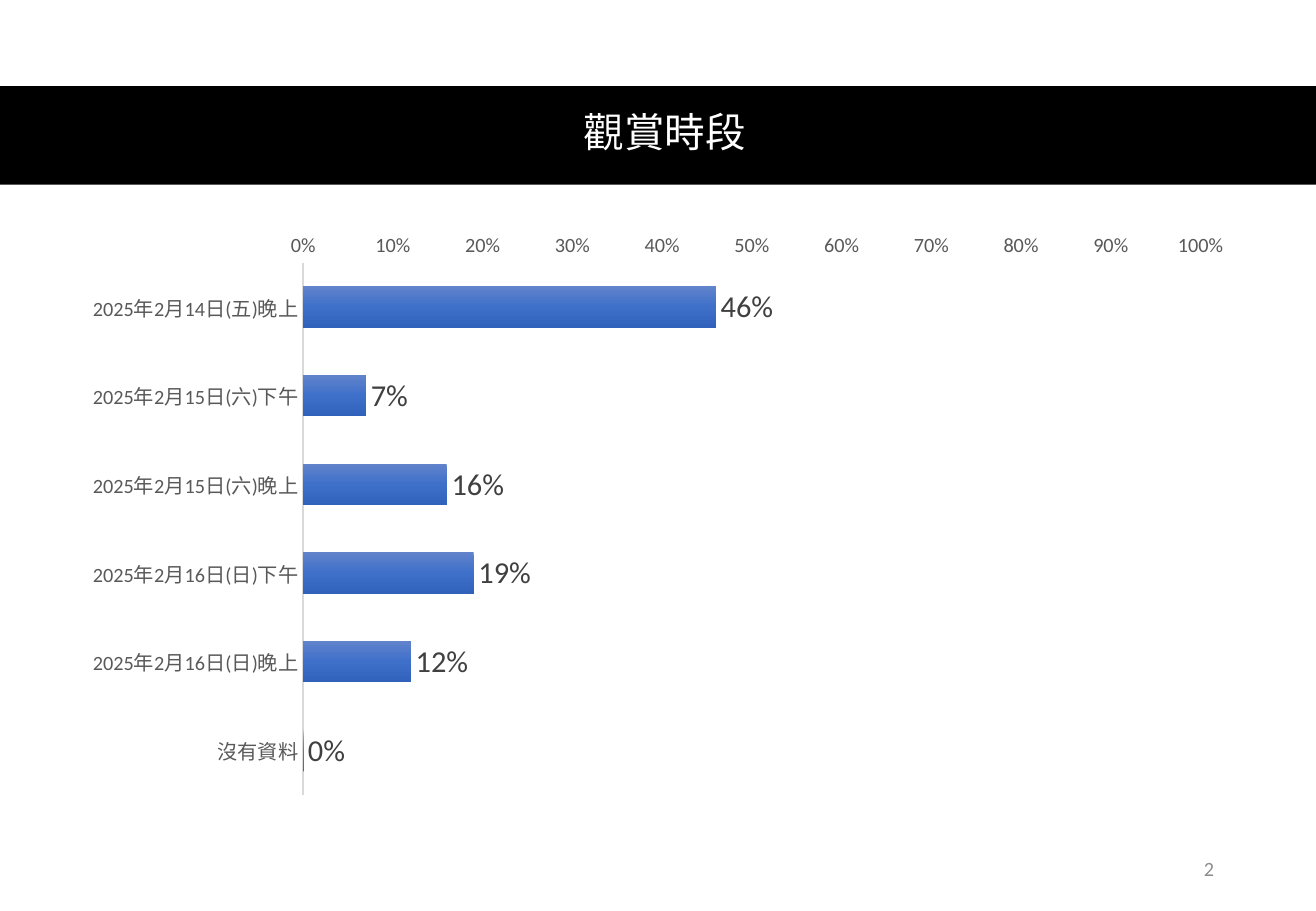
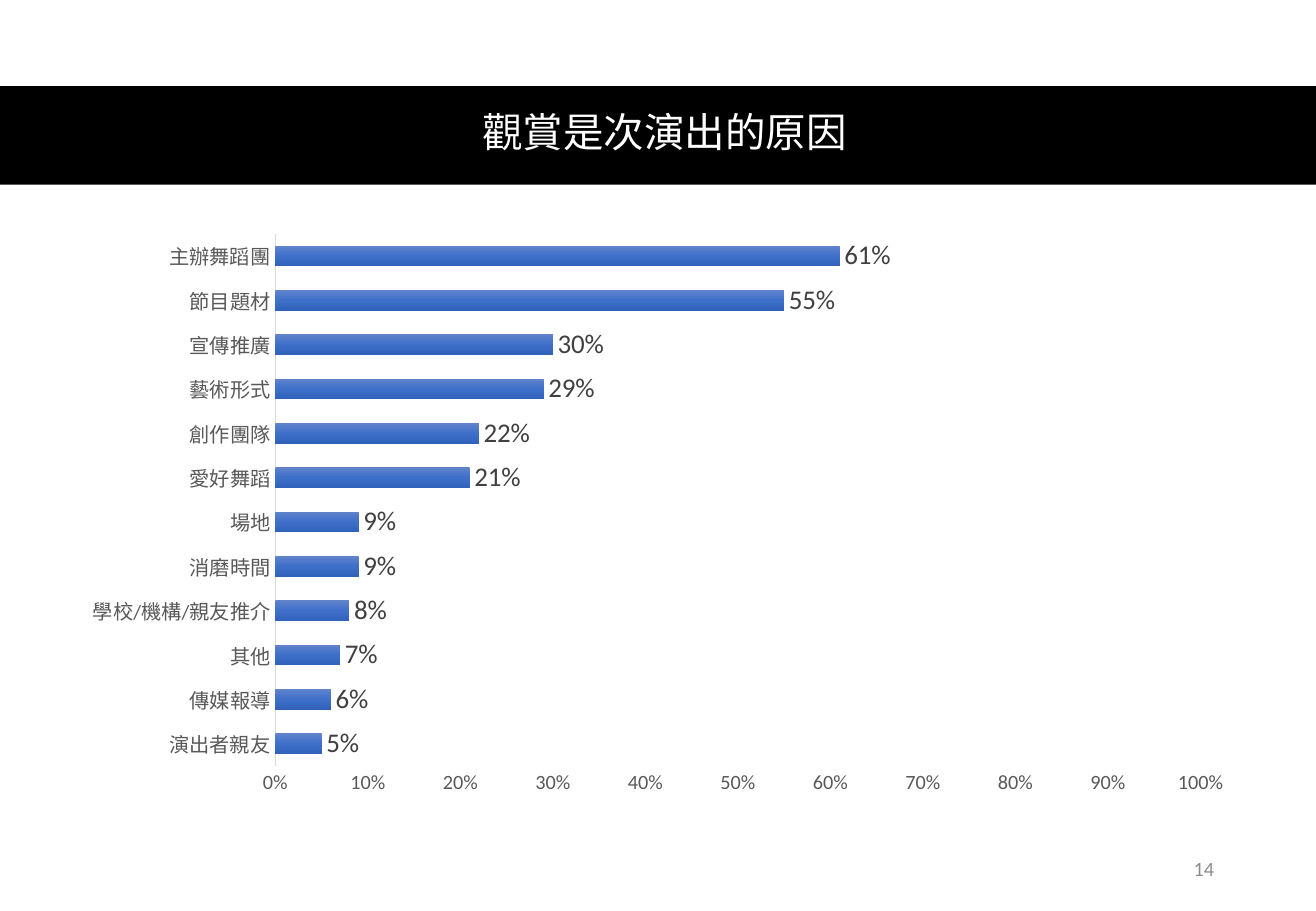
"""Build two audience-survey slides, each a titled band above a bar chart."""
from dataclasses import dataclass

from lxml import etree
from pptx import Presentation
from pptx import util as u
from pptx.chart.data import CategoryChartData
from pptx.dml.color import RGBColor
from pptx.enum import chart as ch, shapes, text
from pptx.oxml.ns import qn


@dataclass(frozen=True)
class Theme:
    band: str = "000000"
    title: str = "FFFFFF"
    axis_text: str = "595959"
    axis_line: str = "D9D9D9"
    value_text: str = "404040"
    page: str = "8C8C8C"
    bar_stops: tuple = ((0, "6183CB"), (50, "3E70CA"), (100, "3062BB"))
    title_font: str = "Lato"
    body_font: str = "Calibri"
    title_size: int = 24
    small_size: int = 12


THEME = Theme()
WIDTH, HEIGHT = 10.83, 7.5
BAND_BOX = (0, 0.71, WIDTH, 0.81)
TITLE_BOX = (0.49, 0.7, 9.96, 0.81)
CHART_BOX = (0.57, 1.83, 9.69, 4.81)
PAGE_BOX = (7.65, 6.95, 2.44, 0.4)

SURVEYS = [
    dict(title="觀賞時段", page="2", value_size=18, reverse=True, shares=[
        ("2025年2月14日(五)晚上", 0.46),
        ("2025年2月15日(六)下午", 0.07),
        ("2025年2月15日(六)晚上", 0.16),
        ("2025年2月16日(日)下午", 0.19),
        ("2025年2月16日(日)晚上", 0.12),
        ("沒有資料", 0),
    ]),
    dict(title="觀賞是次演出的原因", page="14", value_size=16, reverse=False, shares=[
        ("演出者親友", 0.05),
        ("傳媒報導", 0.06),
        ("其他", 0.07),
        ("學校/機構/親友推介", 0.08),
        ("消磨時間", 0.09),
        ("場地", 0.09),
        ("愛好舞蹈", 0.21),
        ("創作團隊", 0.22),
        ("藝術形式", 0.29),
        ("宣傳推廣", 0.3),
        ("節目題材", 0.55),
        ("主辦舞蹈團", 0.61),
    ]),
]


def inches(box):
    return [u.Inches(length) for length in box]


def style(font, name, size, color):
    font.name = name
    font.size = u.Pt(size)
    font.color.rgb = RGBColor.from_string(color)


def write(shape, words, align, name, size, color):
    frame = shape.text_frame
    frame.word_wrap = True
    frame.vertical_anchor = text.MSO_ANCHOR.MIDDLE
    frame.text = words
    paragraph = frame.paragraphs[0]
    paragraph.alignment = align
    style(paragraph.runs[0].font, name, size, color)
    return paragraph


def add_heading(slide, words):
    band = slide.shapes.add_shape(shapes.MSO_SHAPE.RECTANGLE, *inches(BAND_BOX))
    band.shadow.inherit = False
    band.fill.solid()
    band.fill.fore_color.rgb = RGBColor.from_string(THEME.band)
    band.line.fill.background()
    title = slide.shapes.title
    title.left, title.top, title.width, title.height = inches(TITLE_BOX)
    title._element.addprevious(band._element)
    heading = write(title, words, text.PP_ALIGN.CENTER,
                    THEME.title_font, THEME.title_size, THEME.title)
    heading.line_spacing = 0.9


def shade_bars(bars):
    bars.format.fill.gradient()
    gradient = bars.format.fill._xPr.find(qn("a:gradFill"))
    for part in list(gradient):
        gradient.remove(part)
    stops = etree.SubElement(gradient, qn("a:gsLst"))
    for percent, color in THEME.bar_stops:
        stop = etree.SubElement(stops, qn("a:gs"), pos=str(percent * 1000))
        etree.SubElement(stop, qn("a:srgbClr"), val=color)
    etree.SubElement(gradient, qn("a:lin"), ang="5400000", scaled="0")


def add_share_chart(slide, shares, value_size, reverse):
    data = CategoryChartData(number_format="0%")
    data.categories = [answer for answer, _ in shares]
    data.add_series("Series 1", [share for _, share in shares])
    chart = slide.shapes.add_chart(
        ch.XL_CHART_TYPE.BAR_CLUSTERED, *inches(CHART_BOX), data).chart
    chart.has_title = chart.has_legend = False
    style(chart.font, THEME.body_font, 10, "000000")

    answers, scale = chart.category_axis, chart.value_axis
    for axis in (answers, scale):
        axis.has_major_gridlines = False
        axis.major_tick_mark = axis.minor_tick_mark = ch.XL_TICK_MARK.NONE
        style(axis.tick_labels.font, THEME.body_font, THEME.small_size, THEME.axis_text)
    answers.reverse_order = reverse
    answers.format.line.color.rgb = RGBColor.from_string(THEME.axis_line)
    answers.format.line.width = u.Pt(1)
    scale.minimum_scale, scale.maximum_scale, scale.major_unit = 0, 1, 0.1
    scale.tick_labels.number_format = "0%"
    scale.tick_labels.number_format_is_linked = False
    scale.format.line.fill.background()

    plot = chart.plots[0]
    plot.gap_width, plot.overlap = 115, -20
    plot.vary_by_categories = False
    shade_bars(plot.series[0])
    labels = plot.series[0].data_labels
    labels.show_value = True
    labels.number_format = "0%"
    labels.number_format_is_linked = False
    labels.position = ch.XL_LABEL_POSITION.OUTSIDE_END
    style(labels.font, THEME.body_font, value_size, THEME.value_text)


def main():
    deck = Presentation()
    deck.slide_width, deck.slide_height = u.Inches(WIDTH), u.Inches(HEIGHT)
    for survey in SURVEYS:
        slide = deck.slides.add_slide(deck.slide_layouts.get_by_name("Title Only"))
        add_heading(slide, survey["title"])
        add_share_chart(slide, survey["shares"], survey["value_size"], survey["reverse"])
        write(slide.shapes.add_textbox(*inches(PAGE_BOX)), survey["page"],
              text.PP_ALIGN.RIGHT, THEME.body_font, THEME.small_size, THEME.page)
    deck.save("out.pptx")


if __name__ == "__main__":
    main()
